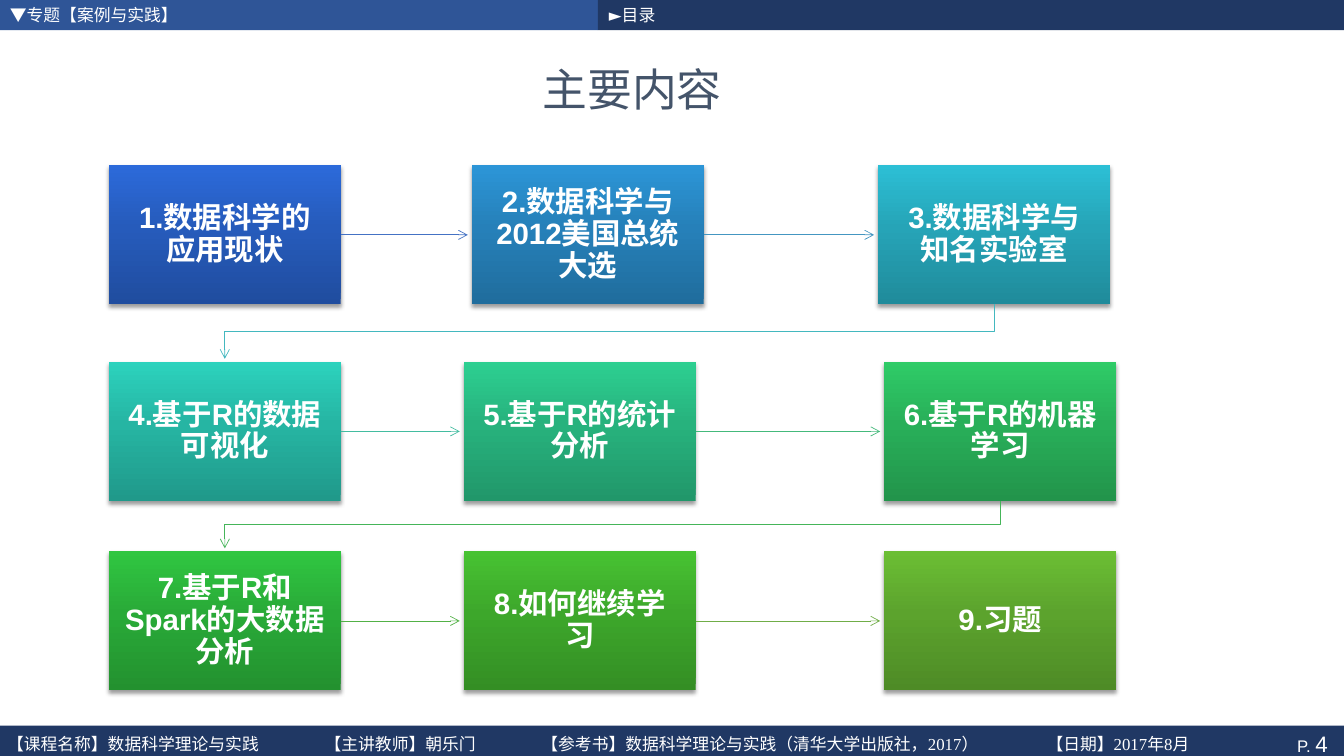
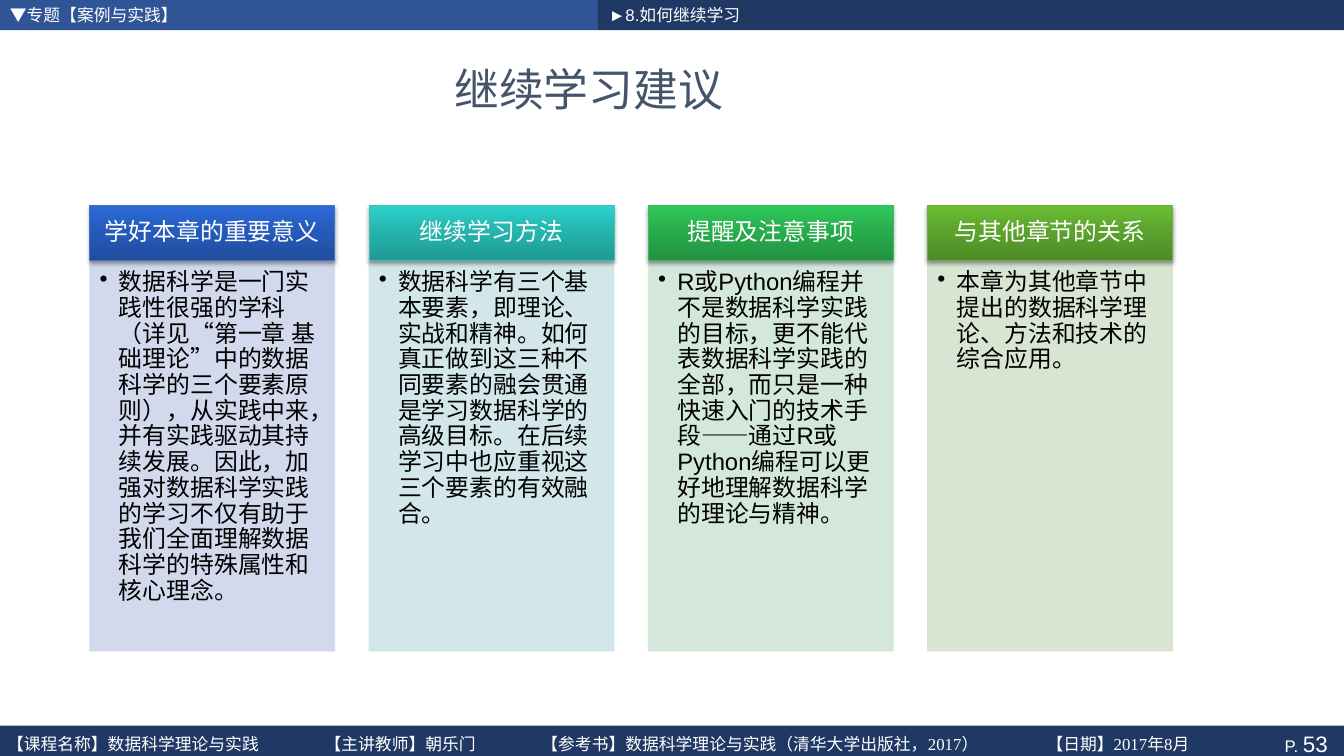
import dataclasses

import lxml.etree
import pptx
import pptx.dml.color
import pptx.enum.dml
import pptx.enum.lang
import pptx.enum.shapes
import pptx.enum.text
import pptx.oxml.ns
import pptx.util

EMU_PER_PX = 9144
SLIDE_WIDTH, SLIDE_HEIGHT = 1333, 750
ALIGN = pptx.enum.text.PP_ALIGN
ANCHOR = pptx.enum.text.MSO_ANCHOR
RECTANGLE = pptx.enum.shapes.MSO_SHAPE.RECTANGLE


@dataclasses.dataclass(frozen=True)
class Theme:
    white: str = "FFFFFF"
    black: str = "000000"
    navy: str = "203864"
    blue: str = "2F5597"
    title: str = "44546A"
    latin: str = "Arial"
    serif: str = "Times New Roman"
    chinese: str = "Noto Sans CJK SC"
    title_size: int = 32
    step_size: int = 21
    column_size: int = 17
    page_size: int = 16
    band_size: int = 12
    line_width: float = 0.5
    line_spacing: float = 0.9


THEME = Theme()

BAND_HEIGHT = 30
BAND_SPLIT = 593
FOOTER_TOP = SLIDE_HEIGHT - BAND_HEIGHT
FOOTER_TABS = (315, 530, 1031)
FOOTER_ITEMS = (
    "【课程名称】数据科学理论与实践",
    "【主讲教师】朝乐门",
    "【参考书】数据科学理论与实践（清华大学出版社，2017）",
    "【日期】2017年8月",
)

STEP_WIDTH, STEP_HEIGHT = 230, 138
STEP_ROWS = (
    (164, (108, 468, 871)),
    (359, (108, 460, 877)),
    (547, (108, 460, 877)),
)
STEPS = (
    ("1.数据科学的应用现状", "2C6ADA", "4472C4"),
    ("2.数据科学与2012美国总统大选", "2C95D7", "4496C1"),
    ("3.数据科学与知名实验室", "2CBFD5", "43B8BF"),
    ("4.基于R的数据可视化", "2CD2BD", "43BCA0"),
    ("5.基于R的统计分析", "2DCF91", "44B97B"),
    ("6.基于R的机器学习", "2FCB67", "45B559"),
    ("7.基于R和Spark的大数据分析", "30C641", "52B146"),
    ("8.如何继续学习", "47C232", "70AD47"),
    ("9.习题", "6BBE34", None),
)

COLUMN_LEFT, COLUMN_PITCH, COLUMN_WIDTH = 89, 277, 243
HEAD_TOP, HEAD_HEIGHT, BODY_HEIGHT = 204, 54, 388
COLUMNS = (
    ("学好本章的重要意义", "2C6ADA", "4472C4", "CFD5EA",
     "数据科学是一门实践性很强的学科（详见“第一章 基础理论”中的数据科学的三个要素原则），从实践中来，"
     "并有实践驱动其持续发展。因此，加强对数据科学实践的学习不仅有助于我们全面理解数据科学的特殊属性和核心理念。"),
    ("继续学习方法", "2CD3CC", "43BEB9", "CFE5E8",
     "数据科学有三个基本要素，即理论、实战和精神。如何真正做到这三种不同要素的融会贯通是学习数据科学的高级目标。"
     "在后续学习中也应重视这三个要素的有效融合。"),
    ("提醒及注意事项", "2FC95A", "45B664", "CFE5D8",
     "R或Python编程并不是数据科学实践的目标，更不能代表数据科学实践的全部，而只是一种快速入门的技术手段"
     "——通过R或Python编程可以更好地理解数据科学的理论与精神。"),
    ("与其他章节的关系", "6BBE34", "70AD47", "D5E3CF",
     "本章为其他章节中提出的数据科学理论、方法和技术的综合应用。"),
)


def px(length):
    return pptx.util.Emu(round(length * EMU_PER_PX))


def rgb(color):
    return pptx.dml.color.RGBColor.from_string(color)


def add_xml(parent, tag, **attributes):
    element = lxml.etree.SubElement(parent, pptx.oxml.ns.qn(tag))
    for name, value in attributes.items():
        element.set(name, str(value))
    return element


def shape_properties(shape):
    return shape.element.find(pptx.oxml.ns.qn("p:spPr"))


def format_span(span, size, color, bold=False, font=THEME.latin):
    span.font.name = font
    span.font.size = pptx.util.Pt(size)
    span.font.bold = bold
    span.font.color.rgb = rgb(color)
    span.font.language_id = pptx.enum.lang.MSO_LANGUAGE_ID.SIMPLIFIED_CHINESE
    add_xml(span.font._element, "a:ea", typeface=THEME.chinese)


def set_text(box, text, size, color, align=ALIGN.LEFT, anchor=ANCHOR.MIDDLE,
             insets=(10, 0, 10, 0), spacing=None, **style):
    frame = box.text_frame
    frame.word_wrap = True
    frame.vertical_anchor = anchor
    frame.margin_left, frame.margin_top, frame.margin_right, frame.margin_bottom = map(px, insets)
    frame.text = text
    para = frame.paragraphs[0]
    para.alignment = align
    para.line_spacing = spacing
    for span in para.runs:
        format_span(span, size, color, **style)
    return para


def add_label(page, area, text, size, color, **layout):
    box = page.shapes.add_textbox(*map(px, area))
    return set_text(box, text, size, color, **layout)


def add_panel(page, area, color, line=None):
    panel = page.shapes.add_shape(RECTANGLE, *map(px, area))
    panel.shadow.inherit = False
    panel.fill.solid()
    panel.fill.fore_color.rgb = rgb(color)
    if line:
        format_line(panel.line, line)
    else:
        panel.line.fill.background()
    return panel


def format_line(line, color):
    line.color.rgb = rgb(color)
    line.width = pptx.util.Pt(THEME.line_width)


def shade(color, factor):
    return "".join(f"{round(channel * factor):02X}" for channel in rgb(color))


def add_glossy_panel(page, area, color, line=None):
    panel = add_panel(page, area, color, line)
    panel.fill.gradient()
    panel.fill.gradient_angle = 90
    properties = shape_properties(panel)
    stops = properties.find(".//" + pptx.oxml.ns.qn("a:gsLst"))
    stops.clear()
    for position, factor in ((0, 0.73), (55, 0.86), (100, 1)):
        stop = add_xml(stops, "a:gs", pos=position * 1000)
        add_xml(stop, "a:srgbClr", val=shade(color, factor))
    effects = properties.find(pptx.oxml.ns.qn("a:effectLst"))
    shadow = add_xml(effects, "a:outerShdw", blurRad=pptx.util.Pt(3.1), dist=pptx.util.Pt(2),
                     dir=5400000, algn="ctr", rotWithShape=0)
    add_xml(add_xml(shadow, "a:srgbClr", val=THEME.black), "a:alpha", val=38000)
    return panel


def add_arrowhead(line_shape, color):
    format_line(line_shape.line, color)
    add_xml(line_shape.line._get_or_add_ln(), "a:tailEnd", type="arrow")


def add_straight_arrow(page, left, right, y, color):
    arrow = page.shapes.add_connector(
        pptx.enum.shapes.MSO_CONNECTOR.STRAIGHT, px(left), px(y), px(right), px(y))
    add_arrowhead(arrow, color)
    add_xml(shape_properties(arrow), "a:effectLst")


def add_turning_arrow(page, start, end, color):
    (start_x, start_y), (end_x, end_y) = start, end
    middle = (start_y + end_y) // 2
    builder = page.shapes.build_freeform(start_x, start_y, scale=EMU_PER_PX)
    builder.add_line_segments([(start_x, middle), (end_x, middle), end], close=False)
    arrow = builder.convert_to_shape()
    arrow.shadow.inherit = False
    arrow.fill.background()
    add_arrowhead(arrow, color)


def add_frame(page, section, number):
    add_panel(page, (0, 0, BAND_SPLIT, BAND_HEIGHT), THEME.blue)
    add_panel(page, (BAND_SPLIT, 0, SLIDE_WIDTH - BAND_SPLIT, BAND_HEIGHT), THEME.navy)
    for left, width, text in ((0, 483, "▼专题【案例与实践】"), (BAND_SPLIT + 1, 238, section)):
        add_label(page, (left, 0, width, BAND_HEIGHT), text, THEME.band_size, THEME.white)
    footer = add_panel(page, (0, FOOTER_TOP, SLIDE_WIDTH, BAND_HEIGHT), THEME.navy)
    para = set_text(footer, "P. ", THEME.band_size, THEME.white, align=ALIGN.RIGHT,
                    insets=(10, 6, 16, 0))
    span = para.add_run()
    span.text = str(number)
    format_span(span, THEME.page_size, THEME.white)
    para = add_label(page, (0, FOOTER_TOP, 1273, BAND_HEIGHT), "\t".join(FOOTER_ITEMS),
                     THEME.band_size, THEME.white, insets=(7, 6, 0, 0), font=THEME.serif)
    tabs = add_xml(para._p.get_or_add_pPr(), "a:tabLst")
    for position in FOOTER_TABS:
        add_xml(tabs, "a:tab", pos=px(position), algn="l")


def add_page(deck, section, number, title, title_left, title_width):
    page = deck.slides.add_slide(deck.slide_layouts[6])
    add_frame(page, section, number)
    add_label(page, (title_left, 43, title_width, 90), title, THEME.title_size, THEME.title,
              align=ALIGN.CENTER, font=THEME.chinese)
    return page


def add_steps(page):
    places = [(left, top) for top, lefts in STEP_ROWS for left in lefts]
    for index, ((left, top), (text, color, arrow_color)) in enumerate(zip(places, STEPS)):
        panel = add_glossy_panel(page, (left, top, STEP_WIDTH, STEP_HEIGHT), color)
        set_text(panel, text, THEME.step_size, THEME.white, align=ALIGN.CENTER,
                 insets=(16, 16, 16, 16), spacing=THEME.line_spacing, bold=True)
        if arrow_color is None:
            continue
        next_left, next_top = places[index + 1]
        if next_top == top:
            add_straight_arrow(page, left + STEP_WIDTH, next_left - 4,
                               top + STEP_HEIGHT // 2, arrow_color)
        else:
            half = STEP_WIDTH // 2
            add_turning_arrow(page, (left + half, top + STEP_HEIGHT),
                              (next_left + half, next_top - 3), arrow_color)


def add_column(page, left, heading, color, line, tint, text):
    body = add_panel(page, (left, HEAD_TOP + HEAD_HEIGHT, COLUMN_WIDTH, BODY_HEIGHT), tint, tint)
    for element in shape_properties(body).iter(pptx.oxml.ns.qn("a:srgbClr")):
        add_xml(element, "a:alpha", val=90000)
    para = set_text(body, text, THEME.column_size, THEME.black, anchor=ANCHOR.TOP,
                    insets=(10, 10, 13, 15), spacing=THEME.line_spacing)
    properties = para._p.get_or_add_pPr()
    properties.set("marL", str(px(19)))
    properties.set("indent", str(px(-19)))
    add_xml(properties, "a:buChar", char="•")
    head = add_glossy_panel(page, (left, HEAD_TOP, COLUMN_WIDTH, HEAD_HEIGHT), color, line)
    set_text(head, heading, THEME.column_size, THEME.white, align=ALIGN.CENTER,
             insets=(13, 8, 13, 8), spacing=THEME.line_spacing)


def main():
    deck = pptx.Presentation()
    deck.slide_width, deck.slide_height = px(SLIDE_WIDTH), px(SLIDE_HEIGHT)
    contents = add_page(deck, "►目录", 4, "主要内容", 5, 1244)
    add_steps(contents)
    advice = add_page(deck, "►8.如何继续学习", 53, "继续学习建议", 44, 1080)
    for index, column in enumerate(COLUMNS):
        add_column(advice, COLUMN_LEFT + index * COLUMN_PITCH, *column)
    deck.save("out.pptx")


if __name__ == "__main__":
    main()
